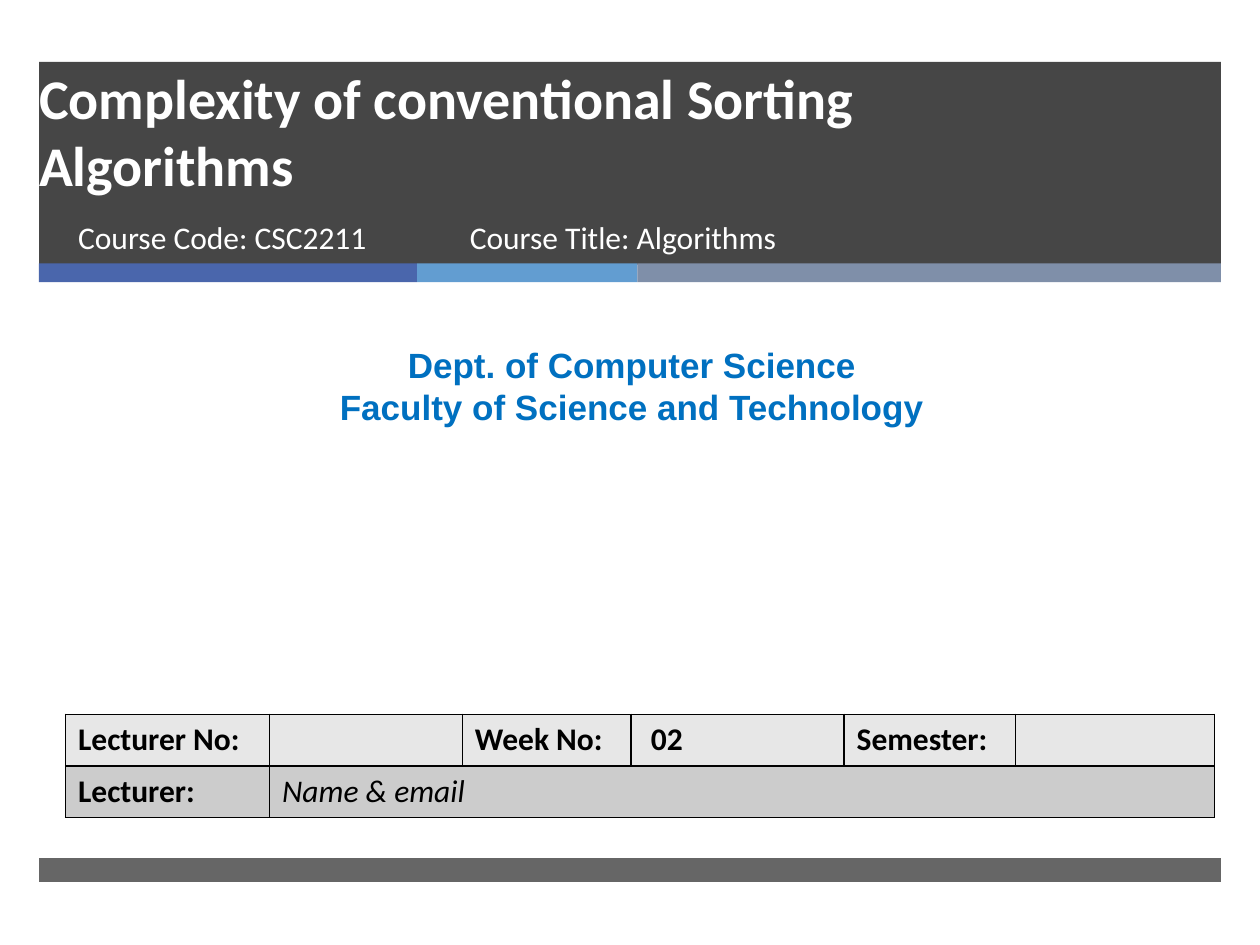
from lxml.etree import SubElement
from pptx import Presentation
from pptx.dml.color import RGBColor
from pptx.enum.shapes import MSO_SHAPE
from pptx.enum.text import MSO_ANCHOR, PP_ALIGN
from pptx.oxml.ns import qn
from pptx.util import Inches, Pt

WHITE = RGBColor(0xFF, 0xFF, 0xFF)
BLACK = RGBColor(0, 0, 0)
CHARCOAL = RGBColor(0x26, 0x26, 0x26)
INDIGO = RGBColor(0x4A, 0x66, 0xAC)
SKY = RGBColor(0x62, 0x9D, 0xD1)
SLATE = RGBColor(0x7F, 0x8F, 0xA9)
DEPT_BLUE = RGBColor(0x00, 0x70, 0xC0)
LIGHT_GREY = RGBColor(0xE7, 0xE7, 0xE7)
MID_GREY = RGBColor(0xCC, 0xCC, 0xCC)

# Content
TITLE = "Complexity of conventional Sorting Algorithms"
COURSE_CODE = "Course Code: CSC2211"
COURSE_TITLE = "Course Title: Algorithms"
DEPARTMENT = "Dept. of Computer Science\nFaculty of Science and Technology"
LECTURE_ROWS = [
    (LIGHT_GREY, ["Lecturer No:", "", "Week No:", " 02", "Semester:", ""]),
    (MID_GREY, ["Lecturer:", "Name & email"]),
]
COLUMN_WIDTHS = [1.62, 1.53, 1.34, 1.69, 1.36, 1.58]
ROW_HEIGHT = 0.41

# Bands share one left edge and width
MARGIN, BAND_WIDTH = 0.31, 9.38
STRIPES = [(INDIGO, 3), (SKY, 1.75), (SLATE, 4.63)]

deck = Presentation()
deck.slide_width, deck.slide_height = Inches(10), Inches(7.5)
slide = deck.slides.add_slide(deck.slide_layouts[0])


def place(shape, *box):
    shape.left, shape.top, shape.width, shape.height = map(Inches, box)


def add_band(left, top, width, height, color, opacity=100):
    band = slide.shapes.add_shape(
        MSO_SHAPE.RECTANGLE, *map(Inches, (left, top, width, height)))
    band.shadow.inherit = False
    band.fill.solid()
    band.fill.fore_color.rgb = color
    band.line.fill.background()
    if opacity < 100:
        rgb = band.fill._xPr.find(".//" + qn("a:srgbClr"))
        SubElement(rgb, qn("a:alpha"), val=str(opacity * 1000))


def write(frame, text, size, color, bold=False, italic=False,
          font="Calibri", align=PP_ALIGN.LEFT):
    frame.text = text
    frame.word_wrap = True
    for paragraph in frame.paragraphs:
        paragraph.alignment = align
        paragraph.space_before = Pt(0)
        for run in paragraph.runs:
            run.font.name, run.font.size = font, Pt(size)
            run.font.bold, run.font.italic = bold, italic
            run.font.color.rgb = color


def add_text(box, *text, **style):
    textbox = slide.shapes.add_textbox(*map(Inches, box))
    write(textbox.text_frame, *text, **style)


def add_borders(cell):
    properties = cell._tc.get_or_add_tcPr()
    for position, side in enumerate(("a:lnL", "a:lnR", "a:lnT", "a:lnB")):
        line = SubElement(properties, qn(side), w=str(Pt(1)))
        properties.insert(position, line)
        fill = SubElement(line, qn("a:solidFill"))
        SubElement(fill, qn("a:srgbClr"), val=str(BLACK))


# Header, stripes and footer
add_band(MARGIN, 0.49, BAND_WIDTH, 1.61, CHARCOAL, 85)
stripe_left = MARGIN
for stripe_color, stripe_width in STRIPES:
    add_band(stripe_left, 2.09, stripe_width, 0.15, stripe_color)
    stripe_left += stripe_width
add_band(MARGIN, 6.81, BAND_WIDTH, 0.19, CHARCOAL, 70)

# Title and course code, brought in front of the bands
title, course_code = slide.placeholders
for placeholder in (title, course_code):
    slide.shapes._spTree.append(placeholder._element)
place(title, 0.21, 0.43, 8.54, 1.19)
write(title.text_frame, TITLE, 32, WHITE, bold=True)
title.text_frame.vertical_anchor = MSO_ANCHOR.BOTTOM
place(course_code, 0.52, 1.68, 3.05, 0.53)
write(course_code.text_frame, COURSE_CODE, 18, WHITE)

# Course title and department
add_text((3.63, 1.68, 4.55, 0.53), COURSE_TITLE, 18, WHITE)
add_text((0.08, 2.68, 9.87, 0.77), DEPARTMENT, 20, DEPT_BLUE,
         bold=True, font="Arial", align=PP_ALIGN.CENTER)

# Lecture details
lecture = slide.shapes.add_table(
    len(LECTURE_ROWS), len(COLUMN_WIDTHS), Inches(0.52), Inches(5.67),
    Inches(sum(COLUMN_WIDTHS)), Inches(ROW_HEIGHT * len(LECTURE_ROWS))).table
for column, width in zip(lecture.columns, COLUMN_WIDTHS):
    column.width = Inches(width)
lecture.cell(1, 1).merge(lecture.cell(1, len(COLUMN_WIDTHS) - 1))
for row, (row_color, entries) in enumerate(LECTURE_ROWS):
    for column in range(len(COLUMN_WIDTHS)):
        cell = lecture.cell(row, column)
        cell.fill.solid()
        cell.fill.fore_color.rgb = row_color
        add_borders(cell)
        if column < len(entries):
            is_contact = cell.is_merge_origin
            write(cell.text_frame, entries[column], 18, BLACK,
                  bold=not is_contact, italic=is_contact)

deck.save("out.pptx")
